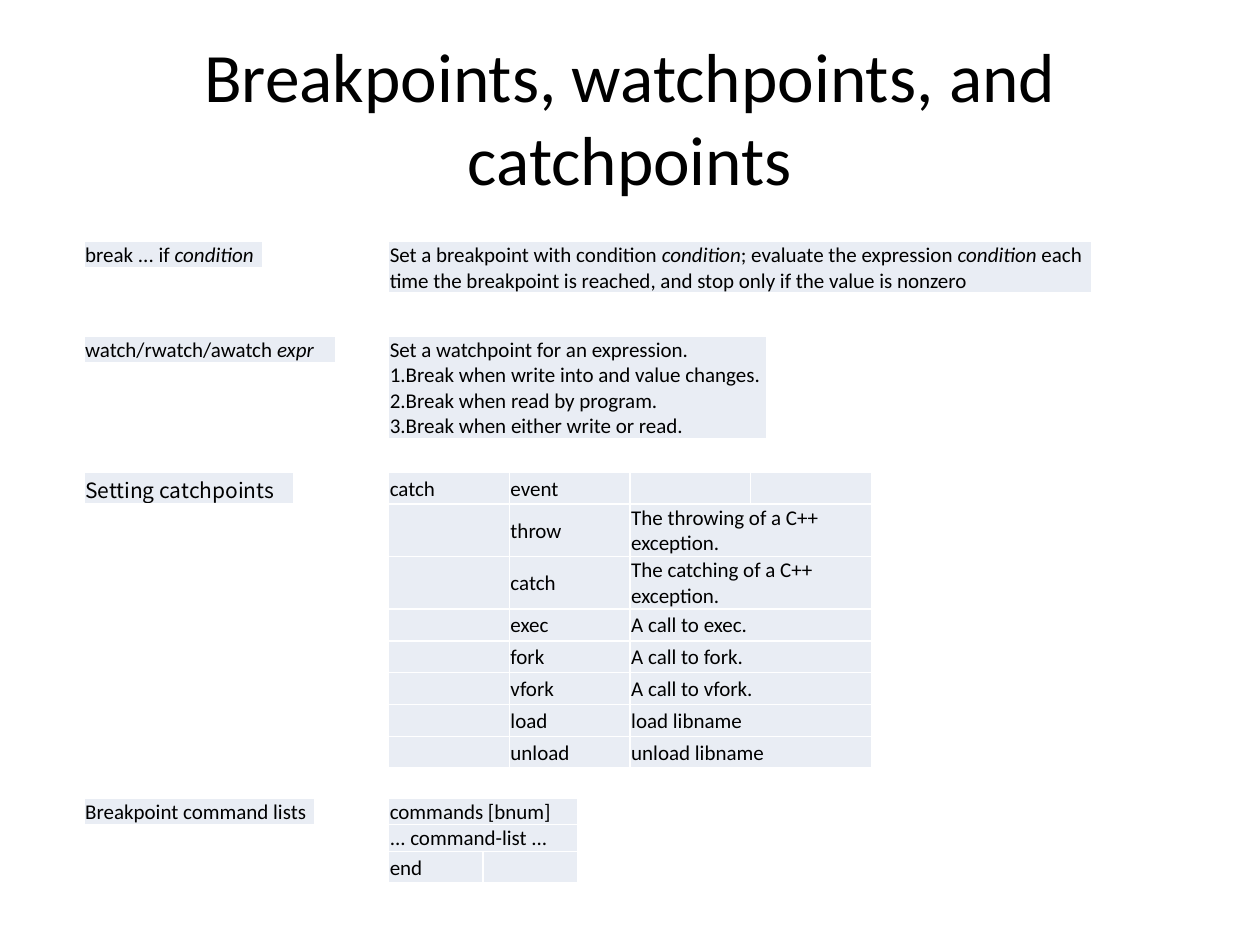
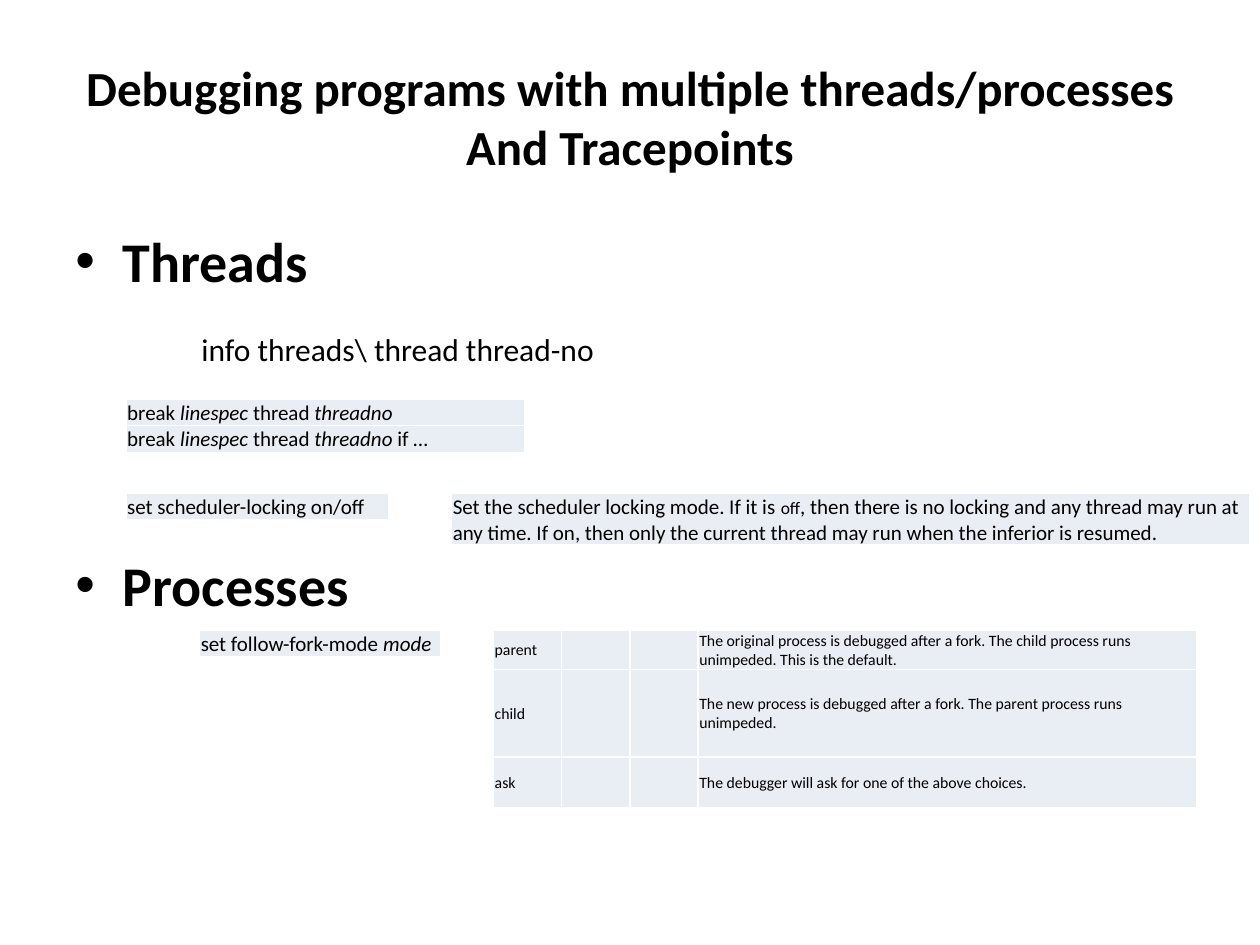
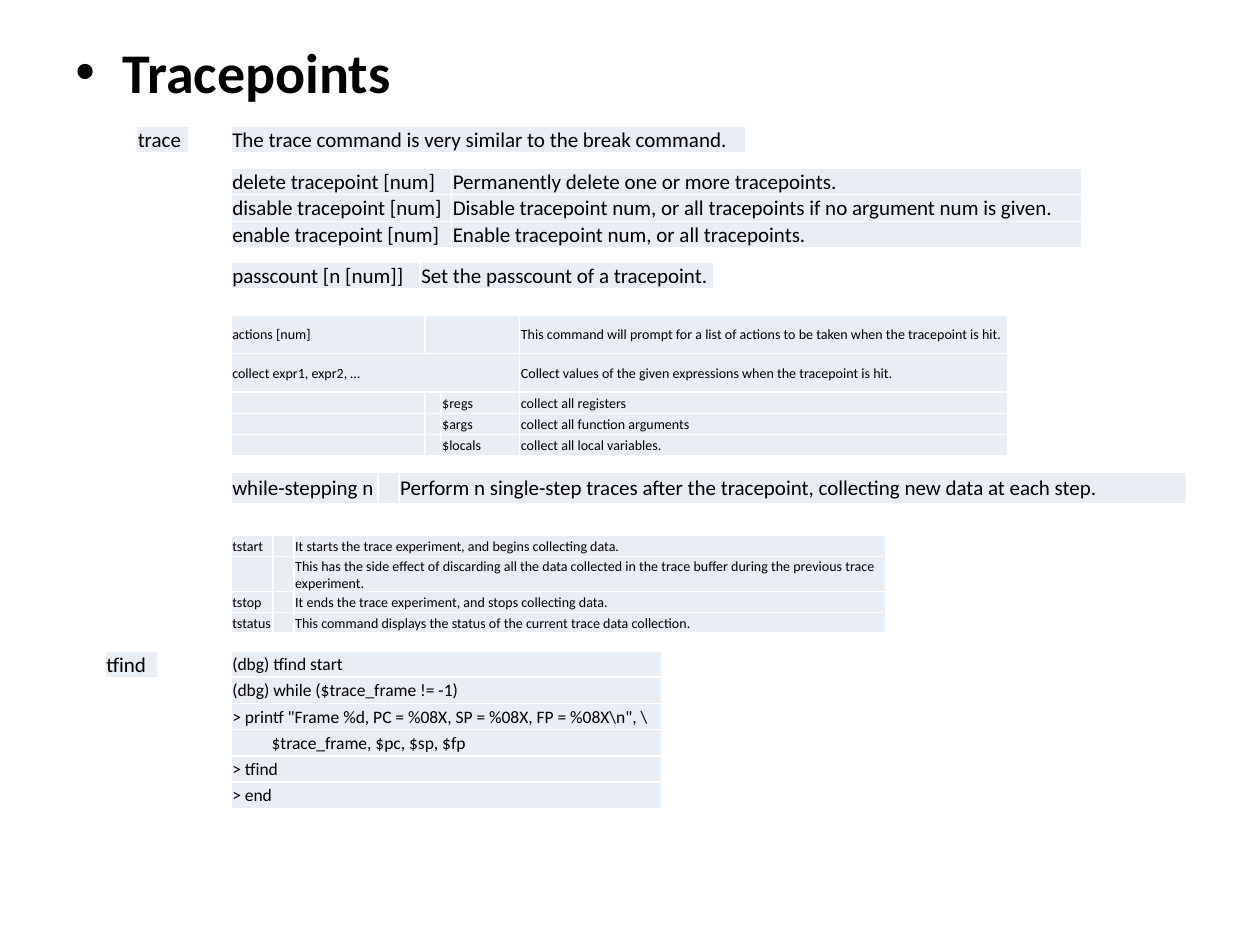
from lxml import etree
from pptx import Presentation
from pptx.dml.color import RGBColor
from pptx.enum import text as t
from pptx.oxml import ns
from pptx.util import Pt

BLACK, WHITE, BAND = "000000", "FFFFFF", "E9EDF4"
FONT, CJK_FONT = "Calibri", "Noto Sans CJK SC"
LINE = 14.5               # height of a one-line row
LABEL, DETAIL = 48, 222   # columns of slide 1
COMMAND = 132             # main column of slide 3
HEADING = dict(size=32, bold=True, bullet=True)

# Text markup: *italic*, ~small~. A None cell is merged into the cell on its left.
# Each grid: left, top, column widths, rows, then optional heights, size, font, indents.
SLIDES = [
    dict(
        title=("Breakpoints, watchpoints, and catchpoints", dict(size=39.6)),
        grids=[
            dict(left=LABEL, top=138, cols=[102], rows=[["break ... if *condition*"]]),
            dict(left=DETAIL, top=138, cols=[402], heights=[29.25], rows=[[
                "Set a breakpoint with condition *condition*; evaluate the expression "
                "*condition *each time the breakpoint is reached, and stop only if the "
                "value is nonzero"]]),
            dict(left=LABEL, top=192, cols=[144], rows=[["watch/rwatch/awatch *expr*"]]),
            dict(left=DETAIL, top=192, cols=[216], heights=[58.5], rows=[[
                "Set a watchpoint for an expression. \n"
                "1.Break when write into and value changes.\n"
                "2.Break when read by program.\n"
                "3.Break when either write or read."]]),
            dict(left=LABEL, top=270, cols=[120], heights=[17.75], font=CJK_FONT,
                 rows=[["Setting catchpoints"]]),
            dict(left=DETAIL, top=270, cols=[69] * 4, heights=[18, 30, 30] + [18.2] * 5,
                 rows=[
                     ["catch ", "event", "", ""],
                     ["", "throw", "The throwing of a C++ exception.", None],
                     ["", "catch", "The catching of a C++ exception.", None],
                     ["", "exec", "A call to exec.", None],
                     ["", "fork", "A call to fork.", None],
                     ["", "vfork", "A call to vfork.", None],
                     ["", "load", "load libname", None],
                     ["", "unload", "unload libname", None]]),
            dict(left=LABEL, top=456, cols=[132], rows=[["Breakpoint command lists"]]),
            dict(left=DETAIL, top=456, cols=[54] * 2, heights=[15.25, 15.5, 17.75], rows=[
                ["commands [bnum]", None],
                ["... command-list ...", None],
                ["end", ""]]),
        ]),
    dict(
        title=("Debugging programs with multiple threads/processes\vAnd Tracepoints",
               dict(size=28, bold=True)),
        body=dict(top=126, height=356.4, lines=[
            ("Threads", HEADING),
            ("info threads\\ thread thread-no", dict(size=18, indent=72, before=20.5)),
            ("Processes", dict(HEADING, before=104.5))]),
        grids=[
            dict(left=72, top=228, cols=[228], heights=[15.25] * 2, rows=[
                ["break *linespec* thread *threadno*"],
                ["break *linespec* thread *threadno* if …"]]),
            dict(left=114, top=360, cols=[138], rows=[["set follow-fork-mode *mode*"]]),
            dict(left=282, top=360, cols=[39, 39, 39, 285], heights=[22.5, 50, 29], size=9,
                 rows=[
                     ["parent", "", "", "The original process is debugged after a fork. "
                      "The child process runs unimpeded. This is the default."],
                     ["child", "", "", "The new process is debugged after a fork. "
                      "The parent process runs unimpeded. "],
                     ["ask", "", "", "The debugger will ask for one of the above choices. "]]),
            dict(left=72, top=282, cols=[150], rows=[["set scheduler-locking on/off"]]),
            dict(left=258, top=282, cols=[456], heights=[29.25], rows=[[
                "Set the scheduler locking mode. If it is ~off~, then there is no locking "
                "and any thread may run at any time. If on, then only the current thread "
                "may run when the inferior is resumed."]]),
        ]),
    dict(
        body=dict(top=18, height=468, lines=[("Tracepoints", HEADING)]),
        grids=[
            dict(left=78, top=72, cols=[30], rows=[["trace "]]),
            dict(left=COMMAND, top=72, cols=[294], rows=[[
                "The trace command is very similar to the break command."]]),
            dict(left=COMMAND, top=96, cols=[126, 360], heights=[15.25] * 3, rows=[
                ["delete tracepoint [num]", "Permanently delete one or more tracepoints. "],
                ["disable tracepoint [num]",
                 "Disable tracepoint num, or all tracepoints if no argument num is given."],
                ["enable tracepoint [num]", "Enable tracepoint num, or all tracepoints."]]),
            dict(left=COMMAND, top=150, cols=[108, 168], rows=[
                ["passcount [n [num]]", "Set the passcount of a tracepoint. "]]),
            dict(left=COMMAND, top=180, cols=[111, 9, 45, 279], size=8,
                 heights=[22, 22] + [12.2] * 3, rows=[
                     ["actions [num]", "", None, "This command will prompt for a list of "
                      "actions to be taken when the tracepoint is hit. "],
                     ["collect expr1, expr2, …", None, None,
                      "Collect values of the given expressions when the tracepoint is hit. "],
                     ["", "", "$regs", "collect all registers "],
                     ["", "", "$args", "collect all function arguments"],
                     ["", "", "$locals", "collect all local variables. "]]),
            dict(left=COMMAND, top=270, cols=[84, 12, 450], heights=[17.75], rows=[
                ["while-stepping n", "", "Perform n single-step traces after the "
                 "tracepoint, collecting new data at each step."]]),
            dict(left=COMMAND, top=306, cols=[24, 12, 338.4], size=8,
                 heights=[12, 20, 12, 11.75], rows=[
                     ["tstart", "", "It starts the trace experiment, and begins collecting "
                      "data."],
                     ["", "", "This has the side effect of discarding all the data collected "
                      "in the trace buffer during the previous trace experiment. "],
                     ["tstop", "", "It ends the trace experiment, and stops collecting data. "],
                     ["tstatus", "", "This command displays the status of the current trace "
                      "data collection. "]]),
            dict(left=60, top=372, cols=[30], rows=[["tfind"]]),
            dict(left=COMMAND, top=372, cols=[246], heights=[15] * 6, size=10,
                 indents={3: 22.5}, rows=[
                     ["(dbg) tfind start"],
                     ["(dbg) while ($trace_frame != -1)"],
                     ['> printf "Frame %d, PC = %08X, SP = %08X, FP = %08X\\n", \\'],
                     ["$trace_frame, $pc, $sp, $fp"],
                     ["> tfind"],
                     ["> end"]]),
        ]),
]


def color(hex_code):
    """Turn a hex string into a colour."""
    return RGBColor.from_string(hex_code)


def add_xml(parent, tag, **attributes):
    """Append a DrawingML element and return it."""
    return etree.SubElement(parent, ns.qn("a:" + tag), attributes)


def pieces(marked):
    """Split marked text into (text, italic, small) pieces."""
    for i, part in enumerate(marked.split("*")):
        for j, piece in enumerate(part.split("~")):
            if piece:
                yield piece, i % 2 == 1, j % 2 == 1


def write(paragraph, marked, size=12, font=FONT, bold=False, align=None,
          bullet=False, indent=0, before=0):
    """Write marked text into a paragraph with the given format."""
    paragraph.alignment = align
    paragraph.space_before = Pt(before)
    properties = paragraph._p.get_or_add_pPr()
    if bullet:
        properties.set("marL", str(Pt(27)))
        properties.set("indent", str(-Pt(27)))
        add_xml(properties, "buFont", typeface="Arial")
        add_xml(properties, "buChar", char="•")
    elif indent:
        properties.set("marL", str(Pt(indent)))
        properties.set("indent", "0")
    for piece, italic, small in pieces(marked):
        for i, line in enumerate(piece.split("\v")):
            if i:
                paragraph.add_line_break()
            run = paragraph.add_run()
            run.text = line
            run.font.size = Pt(10 if small else size)
            run.font.name = font
            run.font.bold, run.font.italic = bold, italic
            run.font.color.rgb = color(BLACK)
    if not marked:
        add_xml(paragraph._p, "endParaRPr", sz=str(int(size * 100)))


def add_text(slide, top, height, lines, anchor=t.MSO_ANCHOR.TOP):
    """Add a full-width text box of (text, format) lines."""
    frame = slide.shapes.add_textbox(Pt(36), Pt(top), Pt(648), Pt(height)).text_frame
    frame.word_wrap = True
    frame.vertical_anchor = anchor
    for i, (line, style) in enumerate(lines):
        write(frame.add_paragraph() if i else frame.paragraphs[0], line, **style)


def style_cell(cell):
    """Give a cell its margins, white borders and band fill."""
    cell.vertical_anchor = t.MSO_ANCHOR.MIDDLE
    cell.margin_left = cell.margin_right = cell.margin_top = Pt(0.72)
    cell.margin_bottom = 0
    properties = cell._tc.get_or_add_tcPr()
    for side in ("lnL", "lnR", "lnT", "lnB"):
        border = add_xml(properties, side, w=str(Pt(1)))
        add_xml(add_xml(border, "solidFill"), "srgbClr", val=WHITE)
    cell.fill.solid()
    cell.fill.fore_color.rgb = color(BAND)


def add_grid(slide, left, top, cols, rows, heights=(LINE,), size=12, font=FONT,
             indents=None):
    """Add a table, merging each None cell into the text on its left."""
    table = slide.shapes.add_table(len(rows), len(cols), Pt(left), Pt(top),
                                   Pt(sum(cols)), Pt(sum(heights))).table
    table.first_row = table.horz_banding = False
    for column, width in zip(table.columns, cols):
        column.width = Pt(width)
    for r, (row, height) in enumerate(zip(rows, heights)):
        table.rows[r].height = Pt(height)
        for c, content in enumerate(row):
            cell = table.cell(r, c)
            style_cell(cell)
            frame = cell.text_frame
            for i, line in enumerate((content or "").split("\n")):
                write(frame.add_paragraph() if i else frame.paragraphs[0], line,
                      size=size, font=font, indent=(indents or {}).get(r, 0))
        starts = [c for c, content in enumerate(row) if content is not None]
        for start, end in zip(starts, starts[1:] + [len(row)]):
            if end - start > 1:
                table.cell(r, start).merge(table.cell(r, end - 1))


def build():
    """Build all slides and save them."""
    deck = Presentation()
    deck.slide_width, deck.slide_height = Pt(720), Pt(540)
    for content in SLIDES:
        slide = deck.slides.add_slide(deck.slide_layouts[6])
        if "title" in content:
            title, style = content["title"]
            add_text(slide, 21.6, 90, [(title, dict(style, align=t.PP_ALIGN.CENTER))],
                     anchor=t.MSO_ANCHOR.MIDDLE)
        if "body" in content:
            add_text(slide, **content["body"])
        for grid in content["grids"]:
            add_grid(slide, **grid)
    deck.save("out.pptx")


build()
